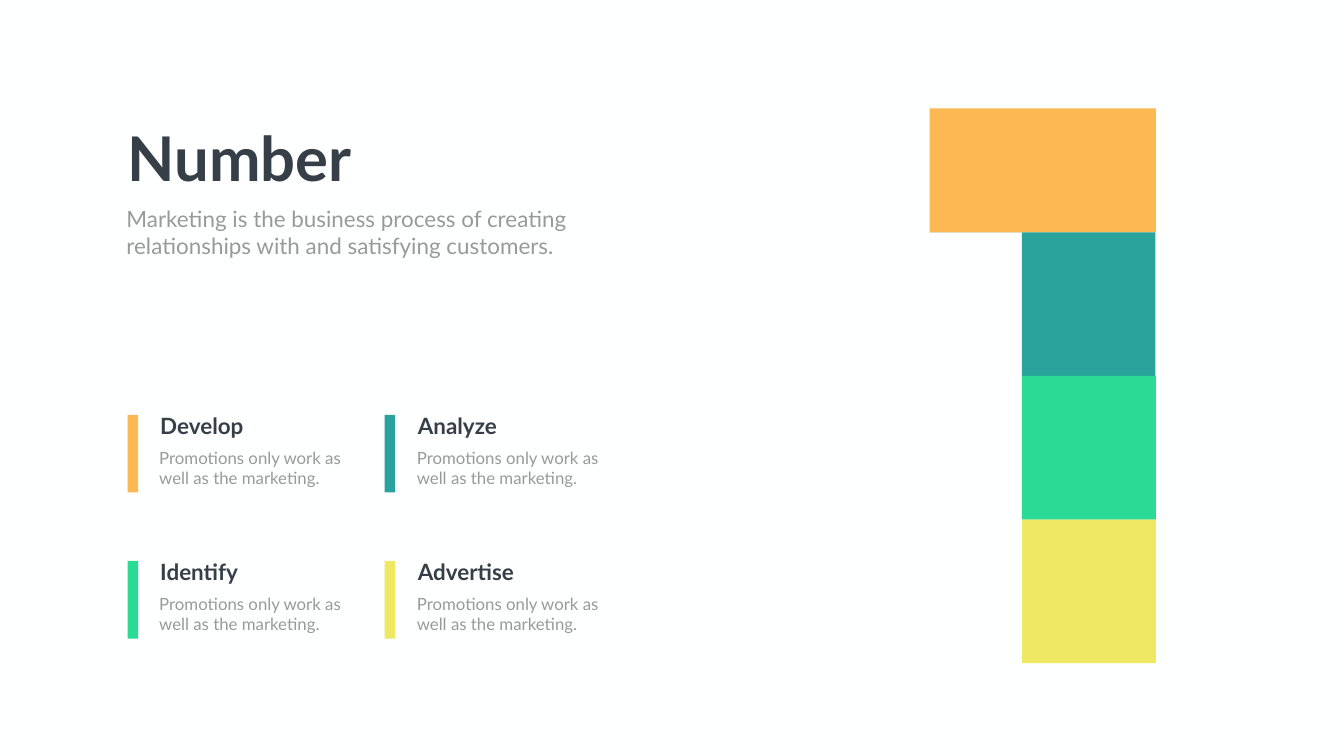
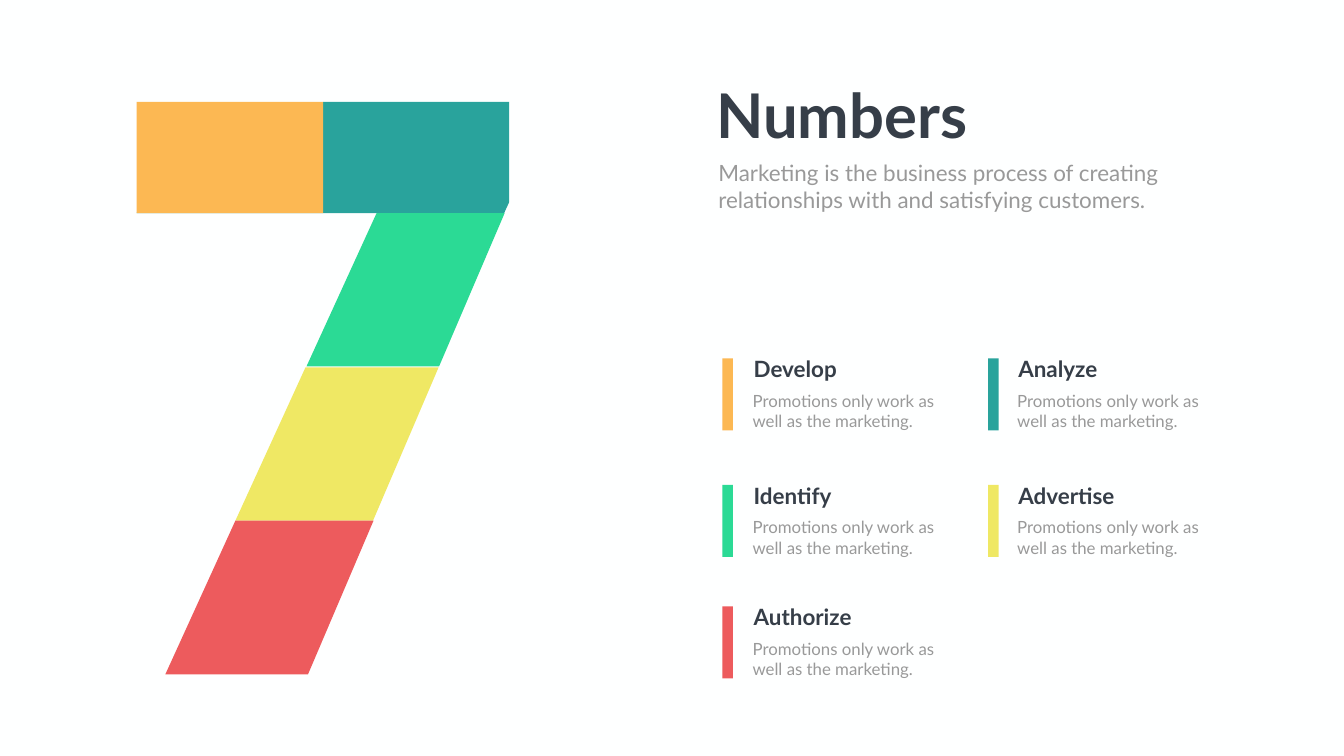
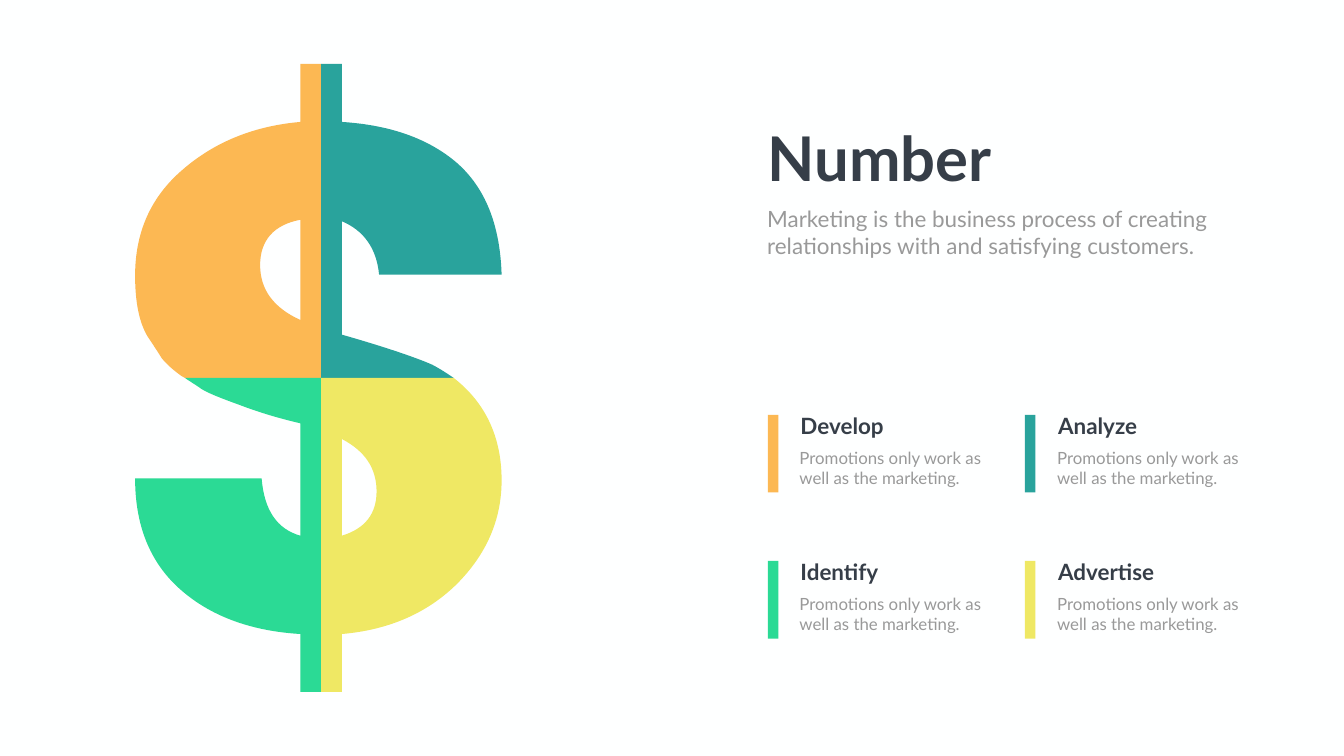
from dataclasses import dataclass

from lxml import etree
from pptx import Presentation
from pptx.dml.color import RGBColor
from pptx.enum.shapes import MSO_SHAPE
from pptx.enum.text import MSO_AUTO_SIZE
from pptx.oxml.ns import qn
from pptx.util import Inches, Pt

RECTANGLE = MSO_SHAPE.RECTANGLE
GROW = MSO_AUTO_SIZE.SHAPE_TO_FIT_TEXT


@dataclass(frozen=True)
class Theme:
    """Colours, font and type sizes shared by all slides."""
    paper: str = "FEFFFF"
    ink: str = "363E48"
    grey: str = "999999"
    orange: str = "FCB853"
    teal: str = "29A39C"
    green: str = "2BDA95"
    yellow: str = "EFE864"
    red: str = "ED5B5D"
    font: str = "Lato"
    title: int = 88
    lead: int = 32
    note: int = 24


THEME = Theme()
LEAD = ["Marketing is the business process of creating",
        "relationships with and satisfying customers."]
NOTE = "Promotions only work as well as the marketing."
ITEMS = [("Develop", THEME.orange), ("Analyze", THEME.teal), ("Identify", THEME.green),
         ("Advertise", THEME.yellow), ("Authorize", THEME.red)]

SEVEN = [
    (THEME.green, [(6.08, 7.27), (8.71, 7.27), (10.01, 4.23), (7.47, 4.23)]),
    (THEME.yellow, [(4.67, 10.33), (7.4, 10.33), (8.7, 7.29), (6.06, 7.29)]),
    (THEME.red, [(3.28, 13.38), (6.11, 13.38), (7.41, 10.33), (4.67, 10.33)]),
]

DOLLAR = [
    (THEME.orange, [
        [(3.21, 7.11), (3.3, 7.22, 3.43, 7.34, 3.6, 7.46), (3.63, 7.47, 3.65, 7.49, 3.67, 7.5),
         (6.37, 7.5), (6.37, 1.27), (5.96, 1.27), (5.96, 2.42),
         (5.02, 2.5, 4.24, 2.83, 3.62, 3.37), (2.99, 3.91, 2.68, 4.61, 2.68, 5.47),
         (2.68, 5.99, 2.76, 6.4, 2.93, 6.68), (3.03, 6.83, 3.13, 6.98, 3.21, 7.11)],
        [(5.96, 4.36), (5.96, 6.35), (5.43, 6.11, 5.16, 5.75, 5.16, 5.26),
         (5.16, 4.77, 5.43, 4.46, 5.96, 4.36)]]),
    (THEME.teal, [
        [(9, 7.5), (8.87, 7.41, 8.73, 7.32, 8.58, 7.24), (8.29, 7.11, 7.69, 6.9, 6.78, 6.64),
         (6.78, 4.39), (7.21, 4.57, 7.47, 4.92, 7.52, 5.45), (9.95, 5.45),
         (9.92, 4.45, 9.62, 3.72, 9.06, 3.23), (8.5, 2.75, 7.74, 2.48, 6.78, 2.42),
         (6.78, 1.27), (6.37, 1.27), (6.37, 7.5)]]),
    (THEME.green, [
        [(3.67, 7.5), (3.8, 7.59, 3.92, 7.66, 4, 7.72), (4.11, 7.79, 4.35, 7.89, 4.74, 8.03),
         (5.13, 8.18, 5.53, 8.3, 5.96, 8.4), (5.96, 10.63),
         (5.5, 10.5, 5.24, 10.13, 5.19, 9.49), (2.68, 9.49),
         (2.68, 10.42, 2.97, 11.15, 3.56, 11.68), (4.15, 12.21, 4.95, 12.52, 5.96, 12.58),
         (5.96, 13.73), (6.37, 13.73), (6.37, 7.5)]]),
    (THEME.yellow, [
        [(9.06, 11.59), (9.65, 11, 9.95, 10.31, 9.95, 9.53), (9.95, 8.66, 9.62, 7.98, 9, 7.5),
         (6.37, 7.5), (6.37, 13.73), (6.78, 13.73), (6.78, 12.58),
         (7.72, 12.5, 8.48, 12.16, 9.06, 11.59)],
        [(6.78, 8.71), (7.24, 8.95, 7.47, 9.29, 7.47, 9.75),
         (7.47, 10.2, 7.24, 10.49, 6.78, 10.63)]]),
]


class Deck:
    """Holds the style and the current slide, and draws each kind of element."""

    def __init__(self, theme):
        self.theme = theme
        self.deck = Presentation()
        self.deck.slide_width, self.deck.slide_height = Inches(26.66), Inches(15)
        fill = self.deck.slide_master.background.fill
        fill.solid()
        fill.fore_color.rgb = RGBColor.from_string(theme.paper)
        self.page = None

    def new_page(self):
        self.page = self.deck.slides.add_slide(self.deck.slide_layouts[6])

    def paint(self, shape, color):
        shape.shadow.inherit = False
        shape.fill.solid()
        shape.fill.fore_color.rgb = RGBColor.from_string(color)
        shape.line.fill.background()

    def block(self, left, top, width, height, color):
        bounds = map(Inches, (left, top, width, height))
        self.paint(self.page.shapes.add_shape(RECTANGLE, *bounds), color)

    def outline(self, color, *contours):
        corners = [[tuple(map(Inches, segment[-2:])) for segment in contour] for contour in contours]
        builder = self.page.shapes.build_freeform(*corners[0][0])
        for index, points in enumerate(corners):
            if index:
                builder.move_to(*points[0])
            builder.add_line_segments(points[1:], close=True)
        shape = builder.convert_to_shape()
        self.bend(shape, [segment for contour in contours for segment in contour[1:]])
        self.paint(shape, color)

    def bend(self, shape, segments):
        lines = list(shape.element.iter(qn("a:lnTo")))
        for line, segment in zip(lines, segments):
            if len(segment) == 2:
                continue
            curve = etree.Element(qn("a:cubicBezTo"))
            for x, y in zip(segment[::2], segment[1::2]):
                etree.SubElement(curve, qn("a:pt"), x=str(Inches(x) - shape.left),
                                 y=str(Inches(y) - shape.top))
            line.getparent().replace(line, curve)

    def text(self, left, top, width, height, lines, size, color, bold=False):
        box = self.page.shapes.add_textbox(*map(Inches, (left, top, width, height)))
        frame = box.text_frame
        frame.word_wrap = True
        frame.auto_size = GROW
        frame.text = "\n".join(lines)
        style = {"name": self.theme.font, "size": Pt(size), "bold": bold}
        for para in frame.paragraphs:
            for span in para.runs:
                for name, value in style.items():
                    setattr(span.font, name, value)
                span.font.color.rgb = RGBColor.from_string(color)

    def heading(self, title, title_left, title_top, lead_left, lead_top, width=10.73):
        theme = self.theme
        self.text(title_left, title_top, width, 1.58, [title], theme.title, theme.ink, bold=True)
        self.text(lead_left, lead_top, 9.08, 1.18, LEAD, theme.lead, theme.grey)

    def legend(self, items, bar_left, bar_step, bar_drop, bar_height, text_left, text_step, rows):
        theme = self.theme
        for index, (label, color) in enumerate(items):
            row, column = divmod(index, 2)
            x, y = text_left + column * text_step, rows[row]
            self.block(bar_left + column * bar_step, y + bar_drop, 0.21, bar_height, color)
            self.text(x, y, 2.61, 0.64, [label], theme.lead, theme.ink, bold=True)
            self.text(x - 0.02, y + 0.7, 4.01, 0.91, [NOTE], theme.note, theme.grey)

    def legend_of_four(self, left):
        self.legend(ITEMS[:4], left, 5.1, 0.1, 1.54, left + 0.55, 5.11, (8.13, 11.03))


def number_one(deck):
    theme = deck.theme
    deck.new_page()
    deck.block(18.44, 2.15, 4.49, 2.46, theme.orange)
    deck.outline(theme.teal, [(18.44, 4.61), (20.27, 4.61), (20.27, 7.46), (22.92, 7.46), (22.92, 4.61)])
    for row, color in enumerate((theme.green, theme.yellow)):
        deck.block(20.27, 7.46 + row * 2.85, 2.66, 2.85, color)
    deck.legend_of_four(2.53)
    deck.heading("Number", 2.43, 2.33, 2.41, 4.03)


def number_seven(deck):
    theme = deck.theme
    deck.new_page()
    deck.outline(theme.teal, [(6.41, 2.02), (6.41, 4.22), (2.71, 4.22), (2.71, 4.23),
                              (10, 4.23), (10.1, 4.01), (10.1, 2.02)])
    deck.block(2.71, 2.02, 3.7, 2.21, theme.orange)
    for color, contour in SEVEN:
        deck.outline(color, contour)
    deck.heading("Numbers", 14.11, 1.47, 14.15, 3.1, width=5.28)
    deck.legend(ITEMS, 14.33, 5.27, 0.11, 1.43, 14.85, 5.25, (7, 9.51, 11.92))


def dollar_sign(deck):
    deck.new_page()
    for color, contours in DOLLAR:
        deck.outline(color, *contours)
    deck.legend_of_four(15.23)
    deck.heading("Number", 15.13, 2.33, 15.12, 4.03)


def main():
    deck = Deck(THEME)
    for build in (number_one, number_seven, dollar_sign):
        build(deck)
    deck.deck.save("out.pptx")


if __name__ == "__main__":
    main()
